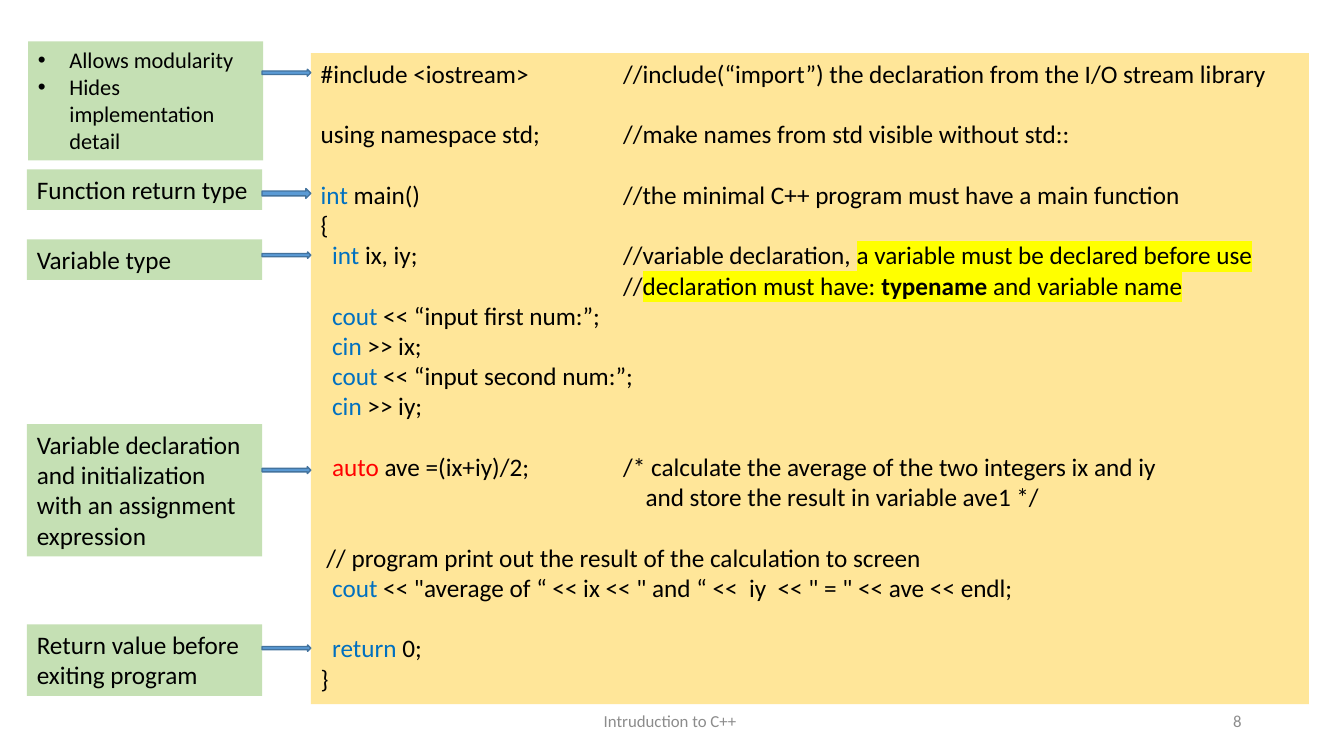
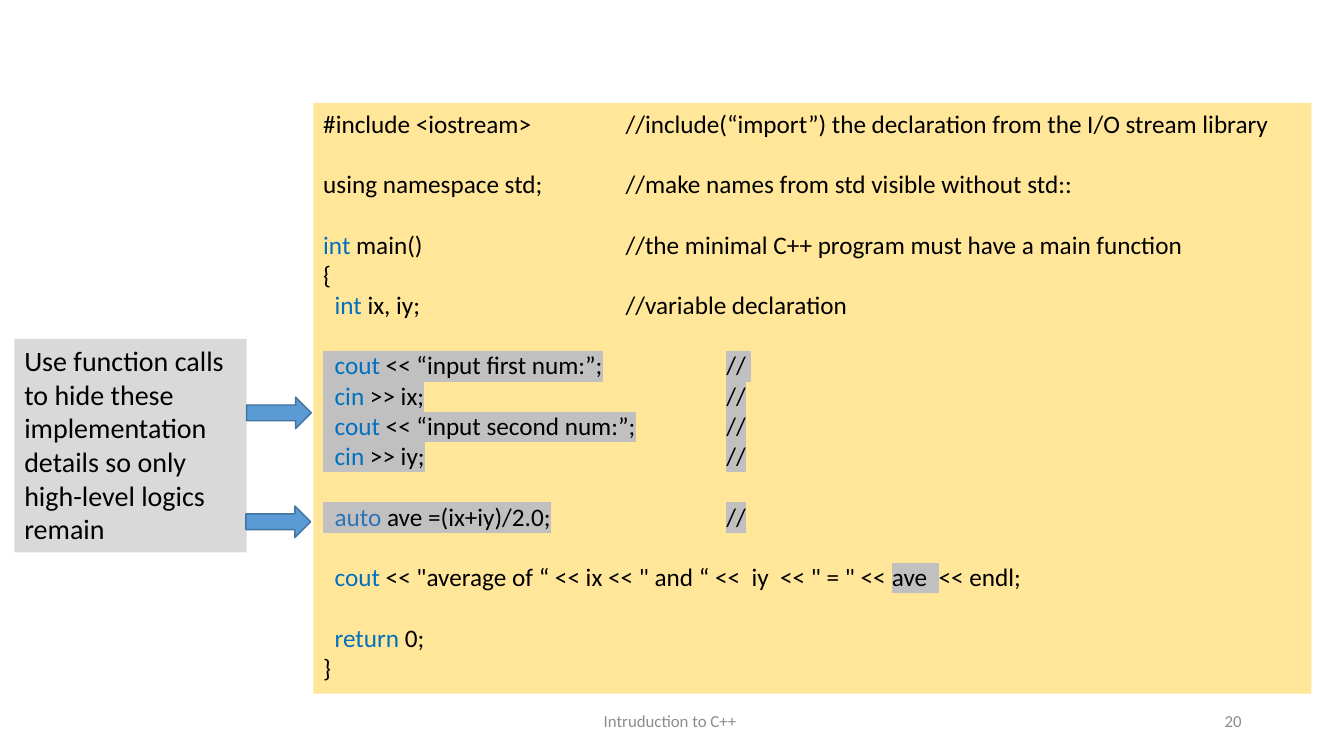
from lxml import etree
from pptx import Presentation
from pptx.dml.color import RGBColor
from pptx.enum.shapes import MSO_SHAPE
from pptx.enum.text import MSO_ANCHOR, PP_ALIGN
from pptx.oxml.ns import qn
from pptx.util import Pt

RECT, ARROW = MSO_SHAPE.RECTANGLE, MSO_SHAPE.RIGHT_ARROW
TOP, MIDDLE = MSO_ANCHOR.TOP, MSO_ANCHOR.MIDDLE
LEFT, CENTER, RIGHT = PP_ALIGN.LEFT, PP_ALIGN.CENTER, PP_ALIGN.RIGHT

BLACK = RGBColor(0x00, 0x00, 0x00)
BLUE = RGBColor(0x00, 0x70, 0xC0)
STEEL = RGBColor(0x2E, 0x75, 0xB6)
RED = RGBColor(0xFF, 0x00, 0x00)
YELLOW = RGBColor(0xFF, 0xFF, 0x00)
SILVER = RGBColor(0xC0, 0xC0, 0xC0)
SAND = RGBColor(0xFF, 0xE6, 0x99)
GREEN = RGBColor(0xC5, 0xE0, 0xB4)
PALE = RGBColor(0xD9, 0xD9, 0xD9)
SKY = RGBColor(0x5B, 0x9B, 0xD5)
NAVY = RGBColor(0x43, 0x73, 0x9E)
GRAY = RGBColor(0x8C, 0x8C, 0x8C)

FONT = "Calibri"
GAP = 21.6   # height of one empty code line
NEAR, INNER, FAR = 216, 232, 288   # tab stops for code remarks


def add_box(slide, kind, x, y, w, h, fill, edge=None):
    box = slide.shapes.add_shape(kind, Pt(x), Pt(y), Pt(w), Pt(h))
    box.shadow.inherit = False
    box.fill.solid()
    box.fill.fore_color.rgb = fill
    if edge is None:
        box.line.fill.background()
    else:
        box.line.color.rgb = edge
        box.line.width = Pt(1)
    frame = box.text_frame
    frame.word_wrap = True
    frame.vertical_anchor = TOP
    frame.paragraphs[0].alignment = LEFT
    return frame


def add_run(para, text, size=18, color=BLACK, mark=None, bold=False):
    run = para.add_run()
    run.text = text
    font = run.font
    font.name, font.size = FONT, Pt(size)
    font.color.rgb = color
    if bold:
        font.bold = True
    if mark is not None:
        light = etree.Element(qn("a:highlight"))
        etree.SubElement(light, qn("a:srgbClr")).set("val", str(mark))
        font._element.find(qn("a:solidFill")).addnext(light)


# Code: each line is (empty lines before, tab stop, runs);
# each run is (text, color, highlight, bold), the last three optional
head = [
    (0, NEAR, [("#include <iostream> \t//include(“import”) the declaration from the I/O stream library",)]),
    (1, NEAR, [("using namespace std;\t//make names from std visible without std::",)]),
    (1, NEAR, [("int", BLUE), (" main()\t//the minimal C++ program must have a main function",)]),
    (0, NEAR, [("{",)]),
]
tail = [
    (1, NEAR, [("  return", BLUE), (" 0;",)]),
    (0, NEAR, [("}",)]),
]
inputs = [
    ("cout", " << “input first num:”;"),
    ("cin", " >> ix;"),
    ("cout", " << “input second num:”;"),
    ("cin", " >> iy;"),
]
mean = " << \"average of “ << ix << \" and “ <<  iy  << \" = \" << "

full = head + [
    (0, NEAR, [("  int ", BLUE), ("ix, iy;\t//variable declaration, ",),
               ("a variable must be declared before use", BLACK, YELLOW)]),
    (0, NEAR, [("\t//",), ("declaration must have: ", BLACK, YELLOW),
               ("typename", BLACK, YELLOW, True),
               (" and variable name", BLACK, YELLOW)]),
] + [(0, NEAR, [("  " + word, BLUE), (rest,)]) for word, rest in inputs] + [
    (1, NEAR, [("  auto ", RED),
               ("ave =(ix+iy)/2;\t/* calculate the average of the two integers ix and iy",)]),
    (0, INNER, [("\tand store the result in variable ave1 */",)]),
    (1, NEAR, [(" // program print out the result of the calculation to screen",)]),
    (0, NEAR, [("  cout", BLUE), (mean + "ave << endl;",)]),
] + tail

short = head + [
    (0, NEAR, [("  int ", BLUE), ("ix, iy;\t//variable declaration",)]),
] + [
    (1 if i == 0 else 0, FAR,
     [("  " + word, BLUE, SILVER),
      (rest + ("\t// " if i == 0 else "\t//"), BLACK, SILVER)])
    for i, (word, rest) in enumerate(inputs)
] + [
    (1, FAR, [("  auto", STEEL, SILVER), (" ave =(ix+iy)/2.0;\t//", BLACK, SILVER)]),
    (1, NEAR, [("  cout", BLUE), (mean,), ("ave  ", BLACK, SILVER), ("<< endl;",)]),
] + tail

# Side notes: (left, top, width, height, fill, size, lines)
notes_a = [
    (20, 29.5, 168, 85, GREEN, 16, ["Allows modularity", "Hides implementation detail"]),
    (19.2, 121, 168, 29, GREEN, 18, ["Function return type"]),
    (19.2, 171, 168, 29, GREEN, 18, ["Variable type"]),
    (19.2, 303, 168, 94.5, GREEN, 18,
     ["Variable declaration and initialization with an assignment expression"]),
    (19.2, 446, 168, 51, GREEN, 18, ["Return value before exiting program"]),
]
notes_b = [
    (10.3, 242, 166, 152.6, PALE, 20,
     ["Use function calls to hide these implementation details so only high-level logics remain"]),
]

# Arrows: (left, top, width, height)
arrows_a = [(187.2, y, 34.8, h) for y, h in
            [(49.5, 5), (134.7, 7), (180, 4.5), (333.3, 5), (460.7, 4.5)]]
arrows_b = [(176.2, 283.7, 46.2, 22.5), (175.7, 361.5, 46.2, 22.5)]

# Slides: (number, code box, code, notes, arrows)
pages = [
    ("8", (222, 38, 713, 465), full, notes_a, arrows_a),
    ("20", (223.8, 73.5, 713, 422), short, notes_b, arrows_b),
]

deck = Presentation()
deck.slide_width, deck.slide_height = Pt(960), Pt(540)

for number, area, code, notes, arrows in pages:
    slide = deck.slides.add_slide(deck.slide_layouts[6])

    # Code listing
    frame = add_box(slide, RECT, *area, SAND)
    for i, (skip, stop, runs) in enumerate(code):
        para = frame.add_paragraph() if i else frame.paragraphs[0]
        para.alignment = LEFT
        para.space_before = Pt(GAP * skip)
        tabs = etree.SubElement(para._p.get_or_add_pPr(), qn("a:tabLst"))
        tab = etree.SubElement(tabs, qn("a:tab"))
        tab.set("pos", str(Pt(stop)))
        tab.set("algn", "l")
        for run in runs:
            text, *style = run
            add_run(para, text, 18, *style)

    # Side notes, with bullets where there are several lines
    for x, y, w, h, fill, size, lines in notes:
        frame = add_box(slide, RECT, x, y, w, h, fill)
        for i, line in enumerate(lines):
            para = frame.add_paragraph() if i else frame.paragraphs[0]
            para.alignment = LEFT
            if len(lines) > 1:
                props = para._p.get_or_add_pPr()
                props.set("marL", str(Pt(22.5)))
                props.set("indent", str(-Pt(22.5)))
                etree.SubElement(props, qn("a:buFont")).set("typeface", "Arial")
                etree.SubElement(props, qn("a:buChar")).set("char", "•")
            add_run(para, line, size)

    # Arrows from notes to code
    for place in arrows:
        add_box(slide, ARROW, *place, SKY, NAVY)

    # Footer and slide number
    for x, w, align, text in [(318, 324, CENTER, "Intruduction to C++ "),
                              (678, 216, RIGHT, number)]:
        label = slide.shapes.add_textbox(Pt(x), Pt(500.5), Pt(w), Pt(28.8))
        label.text_frame.word_wrap = True
        label.text_frame.vertical_anchor = MIDDLE
        para = label.text_frame.paragraphs[0]
        para.alignment = align
        add_run(para, text, 12, GRAY)

deck.save("out.pptx")
